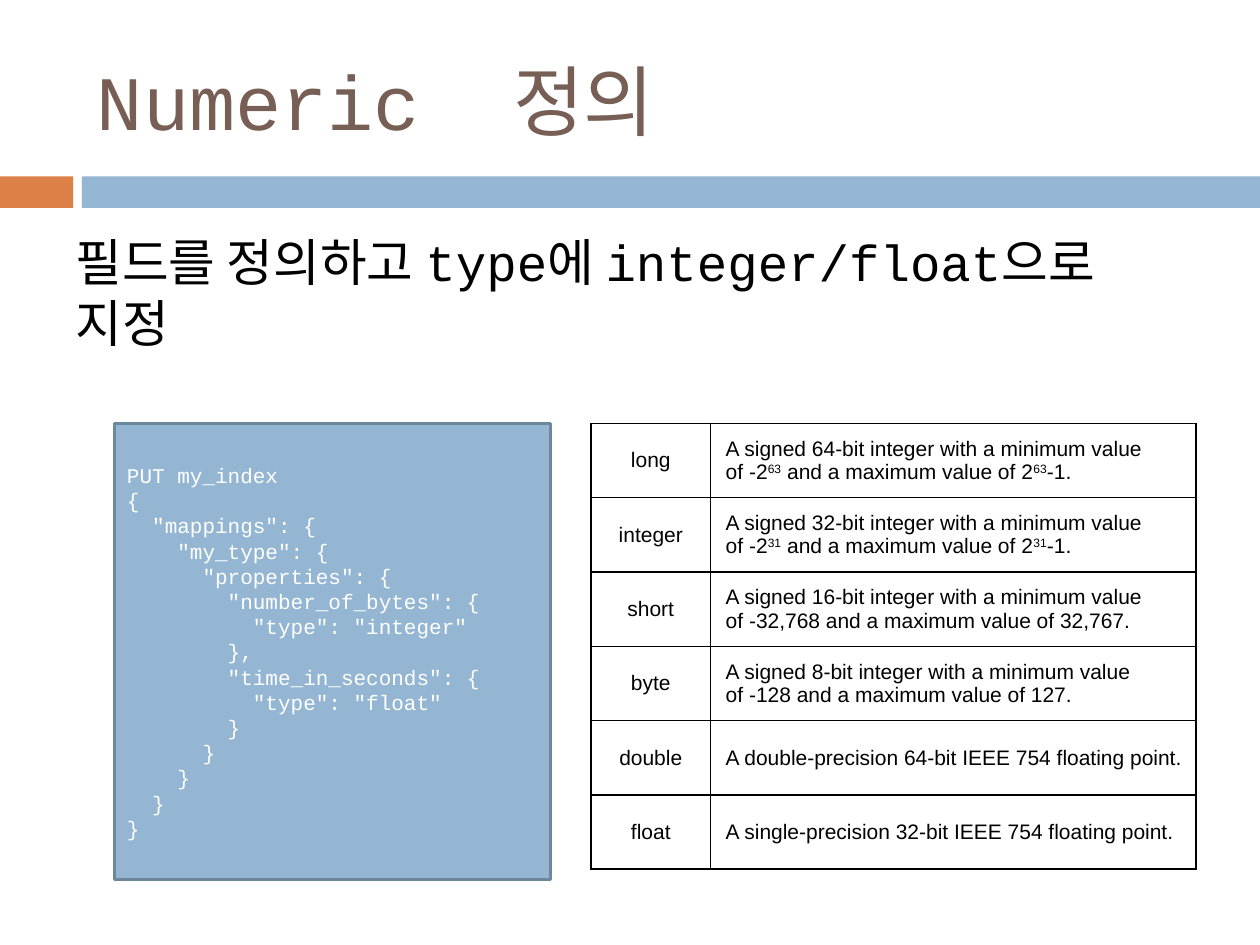
from lxml import etree
from pptx import Presentation
from pptx import util as u
from pptx.dml.color import RGBColor
from pptx.enum import shapes, text
from pptx.oxml import ns

BLACK = RGBColor(0x00, 0x00, 0x00)
WHITE = RGBColor(0xFF, 0xFF, 0xFF)
BROWN = RGBColor(0x77, 0x5F, 0x55)
ORANGE = RGBColor(0xDD, 0x80, 0x47)
BLUE = RGBColor(0x94, 0xB6, 0xD2)
SLATE = RGBColor(0x6D, 0x87, 0x9B)
MONO, SANS = "Courier New", "Arial"
NBSP = chr(160)

CODE = '''PUT my_index
{
  "mappings": {
    "my_type": {
      "properties": {
        "number_of_bytes": {
          "type": "integer"
        },
        "time_in_seconds": {
          "type": "float"
        }
      }
    }
  }
}'''


def signed(bits, low, high):
    """Describe an integer type; ^ marks the edges of a superscript."""
    return (f"A signed {bits}-bit integer with a minimum value "
            f"of{NBSP}{low}{NBSP}and a maximum value of{NBSP}{high}.")


NUMERIC_TYPES = [
    ("long", signed(64, "-2^63^", "2^63^-1")),
    ("integer", signed(32, "-2^31^", "2^31^-1")),
    ("short", signed(16, "-32,768", "32,767")),
    ("byte", signed(8, "-128", "127")),
    ("double", "A double-precision 64-bit IEEE 754 floating point."),
    ("float", "A single-precision 32-bit IEEE 754 floating point."),
]


class Deck:
    def __init__(self, width, height):
        self.prs = Presentation()
        self.prs.slide_width = u.Inches(width)
        self.prs.slide_height = u.Inches(height)
        self.slide = self.prs.slides.add_slide(self.prs.slide_layouts[6])

    def add_lines(self, frame, content, font, size, color,
                  align=text.PP_ALIGN.LEFT):
        for index, line in enumerate(content.split("\n")):
            par = frame.paragraphs[0] if index == 0 else frame.add_paragraph()
            par.alignment = align
            for part, words in enumerate(line.split("^")):
                run = par.add_run()
                run.text = words
                for key, value in {"name": font, "size": u.Pt(size)}.items():
                    setattr(run.font, key, value)
                run.font.color.rgb = color
                if part % 2:
                    run.font._element.set("baseline", "30000")

    def text_box(self, box, content, size, color, anchor):
        frame = self.slide.shapes.add_textbox(*map(u.Inches, box)).text_frame
        for key, value in {"word_wrap": True,
                           "vertical_anchor": anchor}.items():
            setattr(frame, key, value)
        self.add_lines(frame, content, MONO, size, color)

    def rect(self, box, fill, line=None):
        rect = self.slide.shapes.add_shape(
            shapes.MSO_SHAPE.RECTANGLE, *map(u.Inches, box))
        rect.shadow.inherit = False
        rect.fill.solid()
        rect.fill.fore_color.rgb = fill
        if line is None:
            rect.line.fill.background()
        else:
            rect.line.color.rgb = line
            rect.line.width = u.Pt(1.5)
        return rect

    def code_panel(self, box, code):
        frame = self.rect(box, BLUE, SLATE).text_frame
        frame.word_wrap = True
        frame.vertical_anchor = text.MSO_ANCHOR.MIDDLE
        self.add_lines(frame, code, MONO, 12, WHITE)

    def border(self, cell):
        props = cell._tc.get_or_add_tcPr()
        for side in ("lnL", "lnR", "lnT", "lnB"):
            edge = etree.SubElement(props, ns.qn(f"a:{side}"),
                                    w=str(int(u.Pt(1))))
            fill = etree.SubElement(edge, ns.qn("a:solidFill"))
            etree.SubElement(fill, ns.qn("a:srgbClr"), val=str(BLACK))

    def table(self, left, top, widths, row_height, rows):
        table = self.slide.shapes.add_table(
            len(rows), len(widths), u.Inches(left), u.Inches(top),
            u.Inches(sum(widths)), u.Inches(row_height * len(rows))).table
        for key in ("first_row", "horz_banding"):
            setattr(table, key, False)
        for column, width in zip(table.columns, widths):
            column.width = u.Inches(width)
        columns = [(0.03, text.PP_ALIGN.CENTER), (0.12, text.PP_ALIGN.LEFT)]
        for r, row in enumerate(rows):
            table.rows[r].height = u.Inches(row_height)
            for c, (content, (inset, align)) in enumerate(zip(row, columns)):
                cell = table.cell(r, c)
                layout = {"margin_left": u.Inches(inset),
                          "margin_right": u.Inches(0.03),
                          "margin_top": u.Inches(0.03),
                          "margin_bottom": u.Inches(0.03),
                          "vertical_anchor": text.MSO_ANCHOR.MIDDLE}
                for key, value in layout.items():
                    setattr(cell, key, value)
                self.border(cell)
                cell.fill.solid()
                cell.fill.fore_color.rgb = WHITE
                self.add_lines(cell.text_frame, content, SANS, 12, BLACK,
                               align)


def main():
    deck = Deck(10, 7.5)

    # Divider bars under the title
    deck.rect((0, 1.4, 0.58, 0.25), ORANGE)
    deck.rect((0.65, 1.4, 9.35, 0.25), BLUE)

    # Title and explanation
    deck.text_box((0.67, 0.25, 8.92, 1.08), "Numeric  정의", 44, BROWN,
                  text.MSO_ANCHOR.MIDDLE)
    deck.text_box((0.5, 1.78, 9, 0.79),
                  "필드를 정의하고 type에 integer/float으로 지정", 29, BLACK,
                  text.MSO_ANCHOR.TOP)

    # Mapping example beside the list of numeric types
    deck.code_panel((0.91, 3.36, 3.46, 3.62), CODE)
    deck.table(4.69, 3.36, (0.95, 3.85), 0.59, NUMERIC_TYPES)

    deck.prs.save("out.pptx")


if __name__ == "__main__":
    main()
